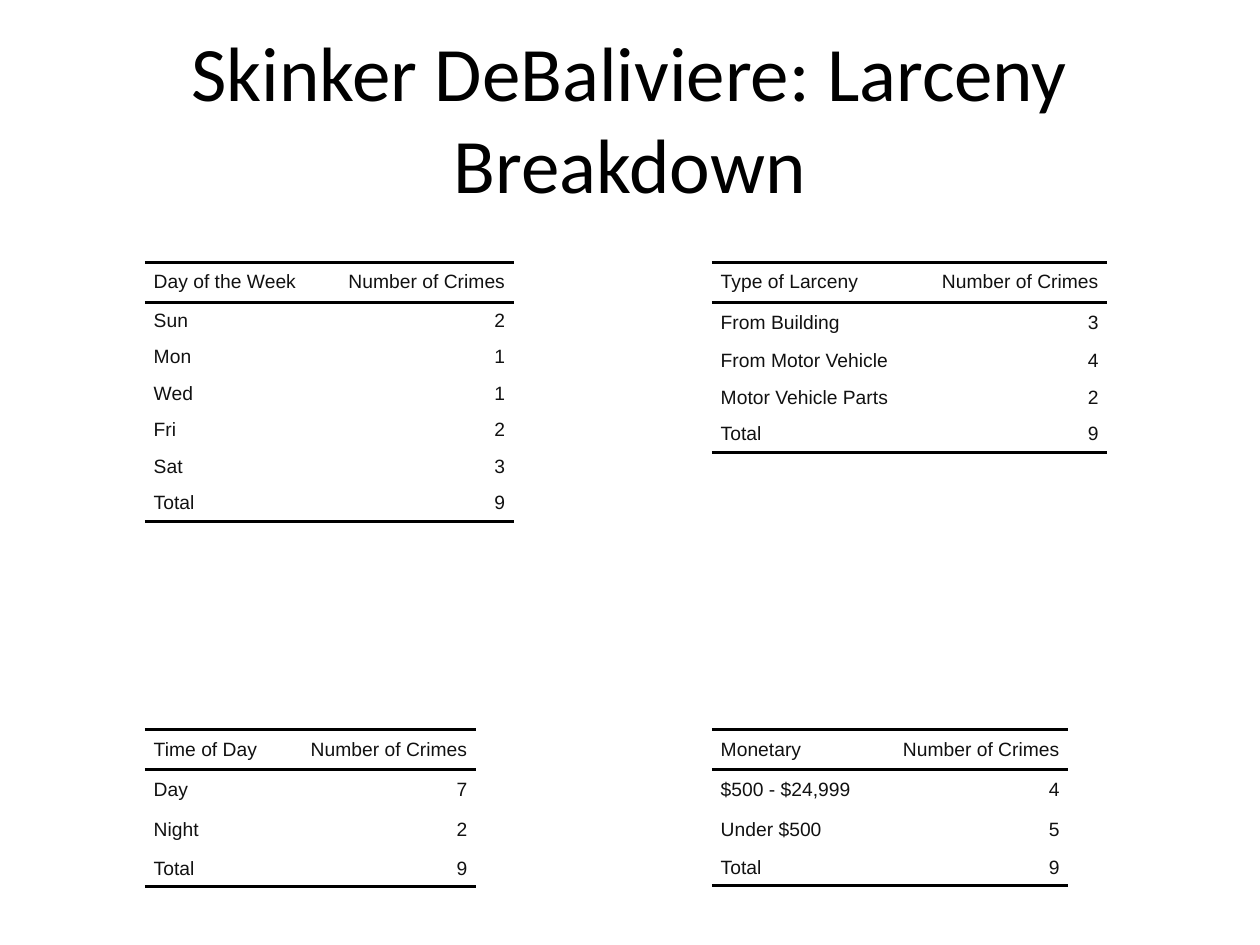
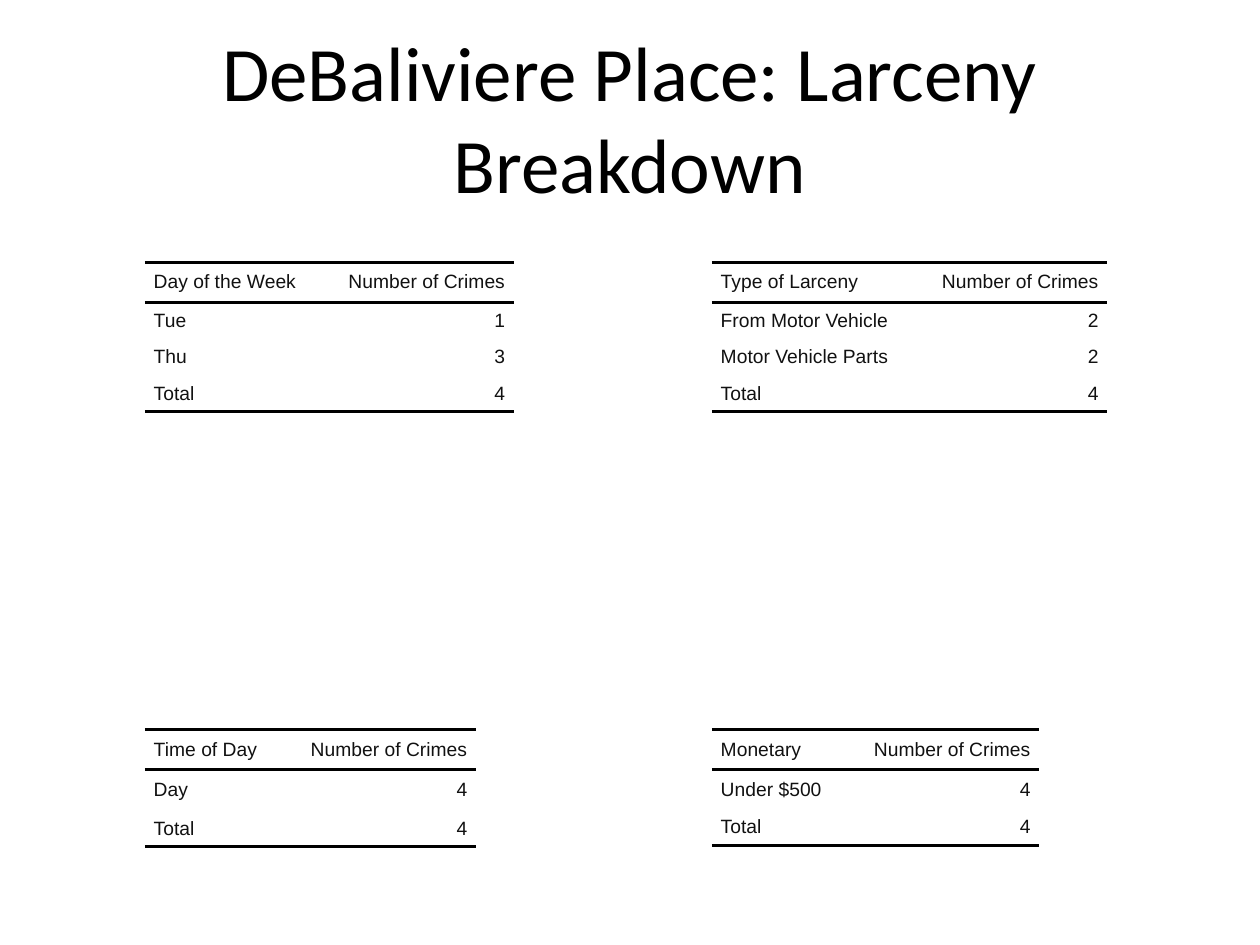
from dataclasses import dataclass

from lxml.etree import SubElement
from pptx import Presentation
from pptx.dml.color import RGBColor
from pptx.enum.text import MSO_ANCHOR, PP_ALIGN
from pptx.oxml.ns import qn
from pptx.util import Inches, Pt


@dataclass(frozen=True)
class Theme:
    title_font: str = "Calibri"
    table_font: str = "Arial"
    title_size: int = 44
    table_size: int = 11
    title_color: str = "000000"
    table_color: str = "111111"
    rule_color: str = "000000"
    rule_width: int = 2
    cell_spacing: int = 2
    cell_indent: float = 0.07


LEFT, RIGHT = 1.15, 5.65
UPPER, LOWER = 2.08, 5.79
HEADER_HEIGHT = TALL = 0.32
MIDDLE = 0.31
ROW_HEIGHT = 0.29
COUNT_WIDTH = 1.52
COUNT_HEADING = "Number of Crimes"

BREAKDOWNS = [
    ("Skinker DeBaliviere: Larceny Breakdown", [
        (LEFT, UPPER, 1.41, "Day of the Week",
         [("Sun", 2), ("Mon", 1), ("Wed", 1), ("Fri", 2), ("Sat", 3)], {}),
        (LEFT, LOWER, 1.11, "Time of Day",
         [("Day", 7), ("Night", 2)], {1: TALL, 2: TALL}),
        (RIGHT, UPPER, 1.62, "Type of Larceny",
         [("From Building", 3), ("From Motor Vehicle", 4),
          ("Motor Vehicle Parts", 2)], {1: TALL}),
        (RIGHT, LOWER, 1.31, "Monetary",
         [("$500 - $24,999", 4), ("Under $500", 5)], {1: TALL, 2: MIDDLE}),
    ]),
    ("DeBaliviere Place: Larceny Breakdown", [
        (LEFT, UPPER, 1.41, "Day of the Week", [("Tue", 1), ("Thu", 3)], {}),
        (LEFT, LOWER, 1.11, "Time of Day", [("Day", 4)], {1: TALL}),
        (RIGHT, UPPER, 1.62, "Type of Larceny",
         [("From Motor Vehicle", 2), ("Motor Vehicle Parts", 2)], {}),
        (RIGHT, LOWER, 1.08, "Monetary", [("Under $500", 4)], {1: MIDDLE}),
    ]),
]


def set_format(target, values):
    for name, value in values.items():
        setattr(target, name, value)


class DeckBuilder:
    def __init__(self, theme):
        self.theme = theme
        self.deck = Presentation()
        set_format(self.deck, {"slide_width": Inches(10), "slide_height": Inches(7.5)})
        self.page = None

    def add_page(self):
        self.page = self.deck.slides.add_slide(self.deck.slide_layouts[6])

    def set_text(self, para, text, font, size, color, **layout):
        para.text = text
        set_format(para, layout)
        span = para.runs[0]
        set_format(span.font, {"name": font, "size": Pt(size)})
        span.font.color.rgb = RGBColor.from_string(color)

    def add_title(self, text):
        box = self.page.shapes.add_textbox(Inches(0.5), Inches(0.3), Inches(9), Inches(1.25))
        set_format(box.text_frame, {"word_wrap": True, "vertical_anchor": MSO_ANCHOR.MIDDLE})
        theme = self.theme
        self.set_text(box.text_frame.paragraphs[0], text, theme.title_font, theme.title_size,
                      theme.title_color, alignment=PP_ALIGN.CENTER)

    def add_borders(self, cell, ruled_sides):
        properties = cell._tc.get_or_add_tcPr()
        for side in ("lnL", "lnR", "lnT", "lnB"):
            line = SubElement(properties, qn(f"a:{side}"))
            if side in ruled_sides:
                line.set("w", str(Pt(self.theme.rule_width)))
                fill = SubElement(line, qn("a:solidFill"))
                SubElement(fill, qn("a:srgbClr")).set("val", self.theme.rule_color)
            else:
                SubElement(line, qn("a:noFill"))

    def fill_cell(self, cell, text, alignment, ruled_sides):
        theme = self.theme
        set_format(cell, {
            "margin_left": 0, "margin_right": 0, "margin_top": 0, "margin_bottom": 0,
            "vertical_anchor": MSO_ANCHOR.MIDDLE,
        })
        self.add_borders(cell, ruled_sides)
        cell.fill.background()
        para = cell.text_frame.paragraphs[0]
        self.set_text(para, text, theme.table_font, theme.table_size, theme.table_color,
                      alignment=alignment, space_before=Pt(theme.cell_spacing),
                      space_after=Pt(theme.cell_spacing))
        for side in ("marL", "marR"):
            para._p.get_or_add_pPr().set(side, str(Inches(theme.cell_indent)))

    def add_crime_table(self, left, top, label_width, heading, counts, special_heights):
        total = sum(count for _, count in counts)
        rows = [(heading, COUNT_HEADING), *counts, ("Total", total)]
        heights = [HEADER_HEIGHT] + [
            special_heights.get(index, ROW_HEIGHT) for index in range(1, len(rows))]
        widths = (label_width, COUNT_WIDTH)
        table = self.page.shapes.add_table(
            len(rows), len(widths), Inches(left), Inches(top),
            Inches(sum(widths)), Inches(sum(heights))).table
        set_format(table, {"first_row": False, "horz_banding": False})
        for column, width in zip(table.columns, widths):
            column.width = Inches(width)
        for index, (values, height) in enumerate(zip(rows, heights)):
            table.rows[index].height = Inches(height)
            ruled_sides = set()
            if index <= 1:
                ruled_sides.add("lnT")
            if index in (0, len(rows) - 1):
                ruled_sides.add("lnB")
            for column, alignment in enumerate((PP_ALIGN.LEFT, PP_ALIGN.RIGHT)):
                self.fill_cell(table.cell(index, column), str(values[column]),
                               alignment, ruled_sides)


def main():
    builder = DeckBuilder(Theme())
    for title, tables in BREAKDOWNS:
        builder.add_page()
        builder.add_title(title)
        for table in tables:
            builder.add_crime_table(*table)
    builder.deck.save("out.pptx")


if __name__ == "__main__":
    main()
